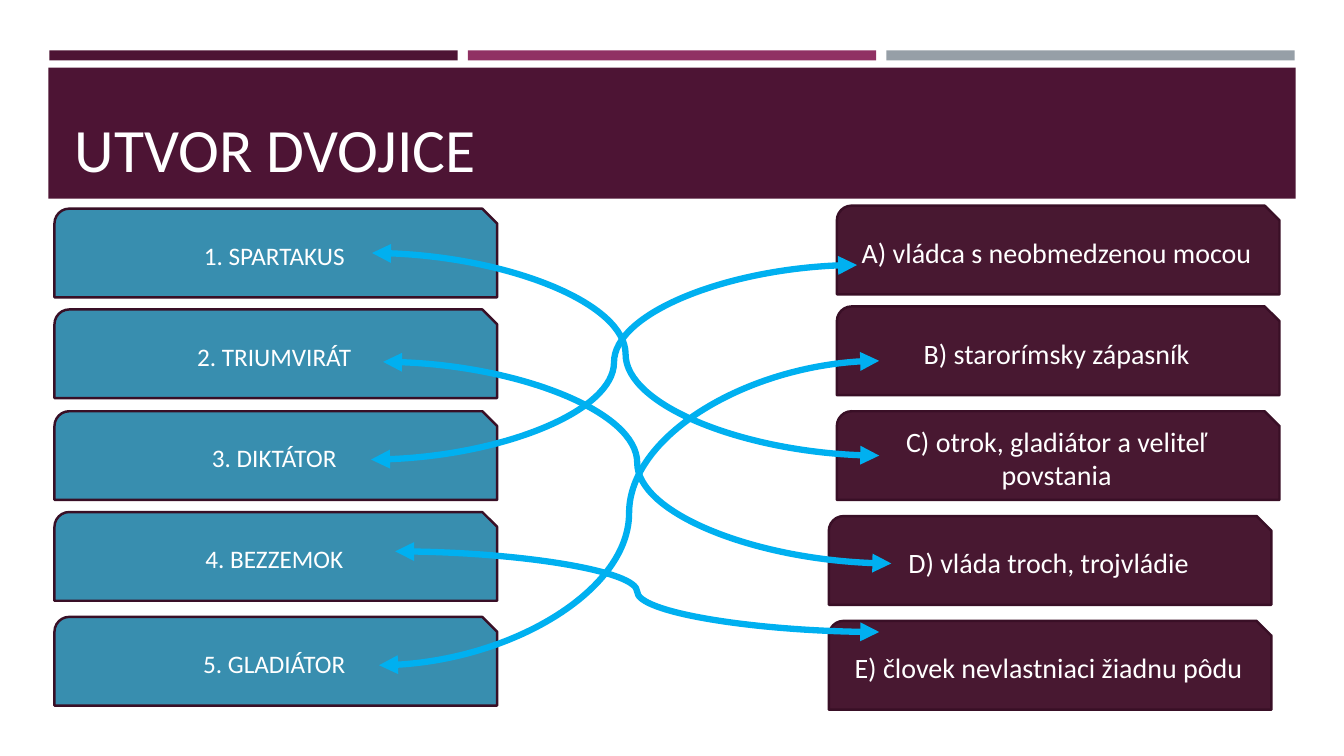
import pptx
import pptx.util
import pptx.dml.color
import pptx.enum.shapes
import pptx.enum.text
import pptx.oxml.ns
from lxml import etree

PX = 9144
COLORS = {
    "plum": "4D1434", "magenta": "903163", "gray": "969FA7", "blue": "388EAF",
    "wine": "481831", "outline": "390F26", "arrow": "00B0F0", "white": "FFFFFF",
}
SHAPES = pptx.enum.shapes.MSO_SHAPE
ALIGN = pptx.enum.text.PP_ALIGN
ANCHOR = pptx.enum.text.MSO_ANCHOR


def add_box(kind, left, top, width, height, color):
    shape = slide.shapes.add_shape(kind, left * PX, top * PX, width * PX, height * PX)
    shape.shadow.inherit = False
    shape.fill.solid()
    shape.fill.fore_color.rgb = pptx.dml.color.RGBColor.from_string(COLORS[color])
    shape.line.fill.background()
    return shape


def write(shape, text, size, alignment, anchor):
    frame = shape.text_frame
    frame.word_wrap = True
    frame.auto_size = pptx.enum.text.MSO_AUTO_SIZE.NONE
    frame.vertical_anchor = anchor
    paragraph = frame.paragraphs[0]
    paragraph.alignment = alignment
    run = paragraph.add_run()
    run.text = text
    run.font.size = pptx.util.Pt(size)
    run.font.name = "Calibri"
    run.font.color.rgb = pptx.dml.color.RGBColor.from_string(COLORS["white"])


presentation = pptx.Presentation()
presentation.slide_width = 1333 * PX
presentation.slide_height = 750 * PX
slide = presentation.slides.add_slide(presentation.slide_layouts[5])

title = slide.shapes.title
title.left, title.top, title.width, title.height = 64 * PX, 77 * PX, 1206 * PX, 111 * PX
write(title, "UTVOR DVOJICE", 44, ALIGN.LEFT, ANCHOR.BOTTOM)

bars = [(49 + 415 * index, 50, 405, 10, color)
        for index, color in enumerate(["plum", "magenta", "gray"])]
for bar in bars + [(48, 67, 1237, 130, "plum")]:
    shape = add_box(SHAPES.RECTANGLE, *bar)
    title.element.addprevious(shape.element)

terms = [
    (54, 207, "1. SPARTAKUS"),
    (54, 307, "2. TRIUMVIRÁT"),
    (54, 408, "3. DIKTÁTOR"),
    (54, 508, "4. BEZZEMOK"),
    (54, 612, "5. GLADIÁTOR"),
]
meanings = [
    (830, 204, "A) vládca s neobmedzenou mocou"),
    (830, 304, "B) starorímsky zápasník"),
    (830, 408, "C) otrok, gladiátor a veliteľ povstania"),
    (822, 512, "D) vláda troch, trojvládie"),
    (822, 616, "E) človek nevlastniaci žiadnu pôdu"),
]
for cards, color, size in [(terms, "blue", 18), (meanings, "wine", 20)]:
    for left, top, text in cards:
        card = add_box(SHAPES.SNIP_ROUND_RECTANGLE, left, top, 439, 88, color)
        card.line.color.rgb = pptx.dml.color.RGBColor.from_string(COLORS["outline"])
        card.line.width = pptx.util.Pt(1.75)
        write(card, text, size, ALIGN.CENTER, ANCHOR.MIDDLE)

pairs = [
    (369, 251, 872, 452),
    (380, 359, 884, 559),
    (368, 456, 850, 263),
    (392, 547, 872, 627),
    (376, 660, 872, 358),
]
for pair in pairs:
    connector = slide.shapes.add_connector(
        pptx.enum.shapes.MSO_CONNECTOR.CURVE, *[value * PX for value in pair])
    connector.line.color.rgb = pptx.dml.color.RGBColor.from_string(COLORS["arrow"])
    connector.line.width = pptx.util.Pt(4.5)
    properties = connector.element.spPr
    line = properties.find(pptx.oxml.ns.qn("a:ln"))
    for end in ["a:headEnd", "a:tailEnd"]:
        etree.SubElement(line, pptx.oxml.ns.qn(end), type="triangle")
    etree.SubElement(properties, pptx.oxml.ns.qn("a:effectLst"))

presentation.save("out.pptx")
